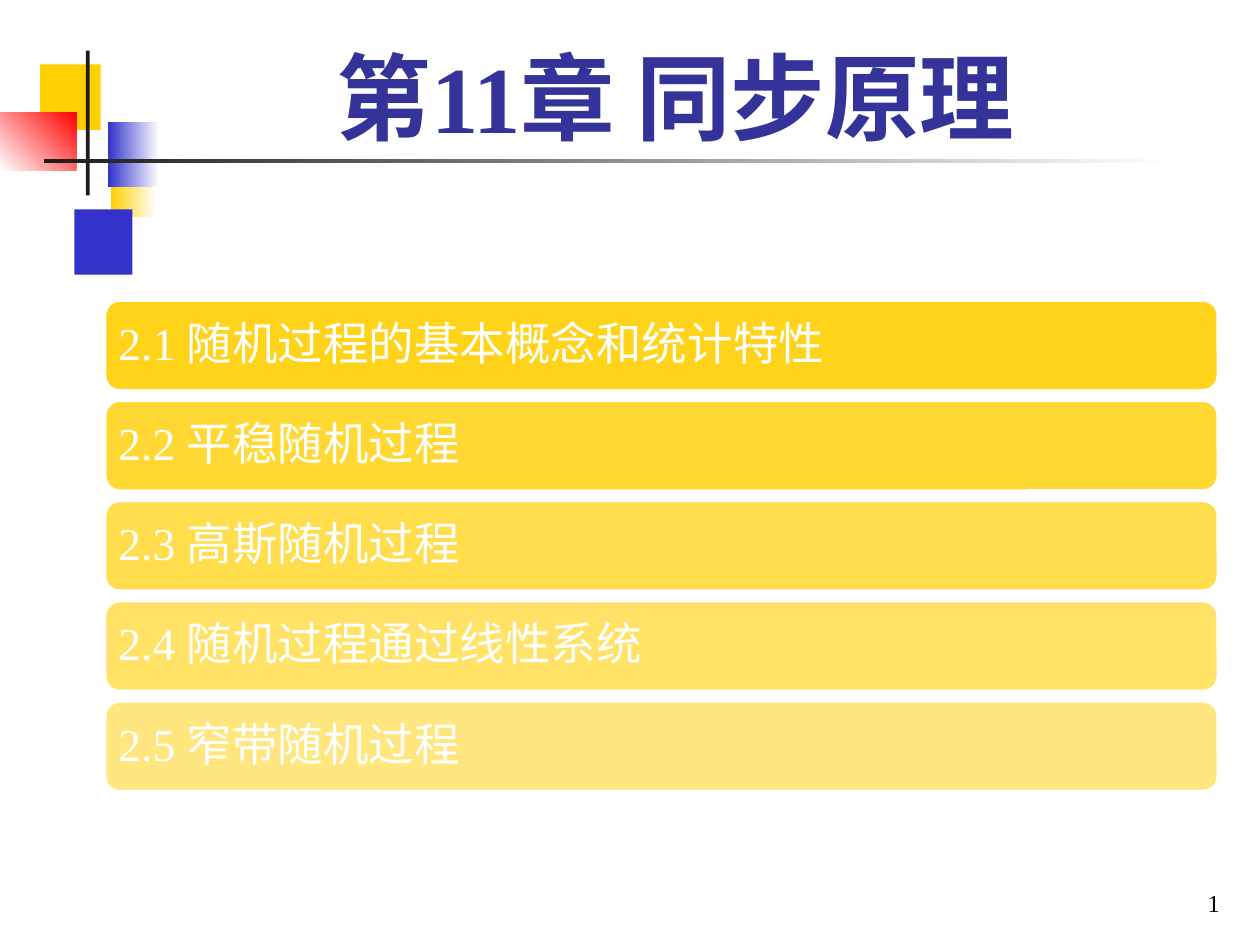
import pptx
import pptx.util
import pptx.dml.color
import pptx.enum.shapes
import pptx.enum.text
import pptx.oxml.ns
from lxml import etree

Cm = pptx.util.Cm
Pt = pptx.util.Pt
SHAPES = pptx.enum.shapes.MSO_SHAPE
ANCHOR = pptx.enum.text.MSO_ANCHOR
ALIGN = pptx.enum.text.PP_ALIGN

COLORS = {
    "white": "FFFFFF",
    "gold": "FFCF01",
    "blue": "3333CC",
    "red": "FF0000",
    "ink": "1C1C1C",
    "navy": "333399",
    "black": "000000",
}

ORNAMENTS = [
    ((2.24, 3.05, 0.91, 1.32), ("gold", "white"), 0),
    ((1.5, 4.22, 1.17, 1.32), ("blue",), 0),
    ((0.81, 1.3, 1.22, 1.32), ("gold",), 0),
    ((2.18, 2.46, 1.02, 1.32), ("blue", "white"), 0),
    ((0, 2.26, 1.55, 1.17), ("white", "red"), 45),
    ((1.73, 1.02, 0.08, 2.92), ("ink",), 0),
    ((0.89, 3.2, 22.86, 0.08), ("ink", "white"), 0),
]

SECTIONS = [
    "2.1 随机过程的基本概念和统计特性",
    "2.2 平稳随机过程",
    "2.3 高斯随机过程",
    "2.4 随机过程通过线性系统",
    "2.5 窄带随机过程",
]


def rgb(name):
    """Return the named colour."""
    return pptx.dml.color.RGBColor.from_string(COLORS[name])


def set_all(target, values):
    """Set every attribute given in a dict of format values."""
    for name, value in values.items():
        setattr(target, name, value)


def write(frame, text, size, color, anchor, align, bold=False, spacing=1.0):
    """Fill a text frame with one formatted paragraph."""
    set_all(frame, {"word_wrap": True, "vertical_anchor": anchor})
    paragraph = frame.paragraphs[0]
    set_all(paragraph, {"alignment": align, "line_spacing": spacing})
    run = paragraph.add_run()
    run.text = text
    set_all(run.font, {"name": "Times New Roman", "size": Pt(size), "bold": bold})
    run.font.color.rgb = rgb(color)


def add_ornament(slide, box, colors, angle):
    """Draw a borderless block in one colour or a two-colour gradient."""
    block = slide.shapes.add_shape(SHAPES.RECTANGLE, *map(Cm, box))
    block.shadow.inherit = False
    block.line.fill.background()
    if len(colors) == 1:
        block.fill.solid()
        block.fill.fore_color.rgb = rgb(colors[0])
        return
    block.fill.gradient()
    block.fill.gradient_angle = angle
    for stop, color in zip(block.fill.gradient_stops, colors):
        stop.color.rgb = rgb(color)


def add_section(slide, top, text, opacity):
    """Draw a translucent rounded bar with a section heading."""
    bar = slide.shapes.add_shape(
        SHAPES.ROUNDED_RECTANGLE, Cm(2.11), Cm(top), Cm(22.45), Cm(1.83))
    bar.shadow.inherit = False
    bar.fill.solid()
    bar.fill.fore_color.rgb = rgb("gold")
    qn = pptx.oxml.ns.qn
    gold = bar.fill._xPr.find(qn("a:solidFill")).find(qn("a:srgbClr"))
    etree.SubElement(gold, qn("a:alpha"), val=str(opacity * 1000))
    bar.line.color.rgb = rgb("white")
    bar.line.width = Pt(2)
    set_all(bar.text_frame, {"margin_left": Cm(0.19), "margin_right": Cm(0.19),
                             "margin_top": Cm(0.19), "margin_bottom": Cm(0.19)})
    write(bar.text_frame, text, 26, "white", ANCHOR.MIDDLE, ALIGN.LEFT, spacing=0.9)


def add_label(slide, box, text, size, color, align, bold=False):
    """Add a bottom-anchored text box."""
    label = slide.shapes.add_textbox(*map(Cm, box))
    write(label.text_frame, text, size, color, ANCHOR.BOTTOM, align, bold)


def main():
    """Build the chapter opening slide."""
    deck = pptx.Presentation()
    set_all(deck, {"slide_width": Cm(25.4), "slide_height": Cm(19.05)})
    slide = deck.slides.add_slide(deck.slide_layouts[6])
    for box, colors, angle in ORNAMENTS:
        add_ornament(slide, box, colors, angle)
    add_label(slide, (19.56, 17.35, 5.28, 1.27), "1", 14, "black", ALIGN.RIGHT)
    for index, section in enumerate(SECTIONS):
        add_section(slide, 6.05 + 2.02 * index, section, 90 - 10 * index)
    add_label(slide, (2.9, 0.18, 21.44, 3.02), "第11章 同步原理", 54, "navy",
              ALIGN.CENTER, bold=True)
    deck.save("out.pptx")


if __name__ == "__main__":
    main()
